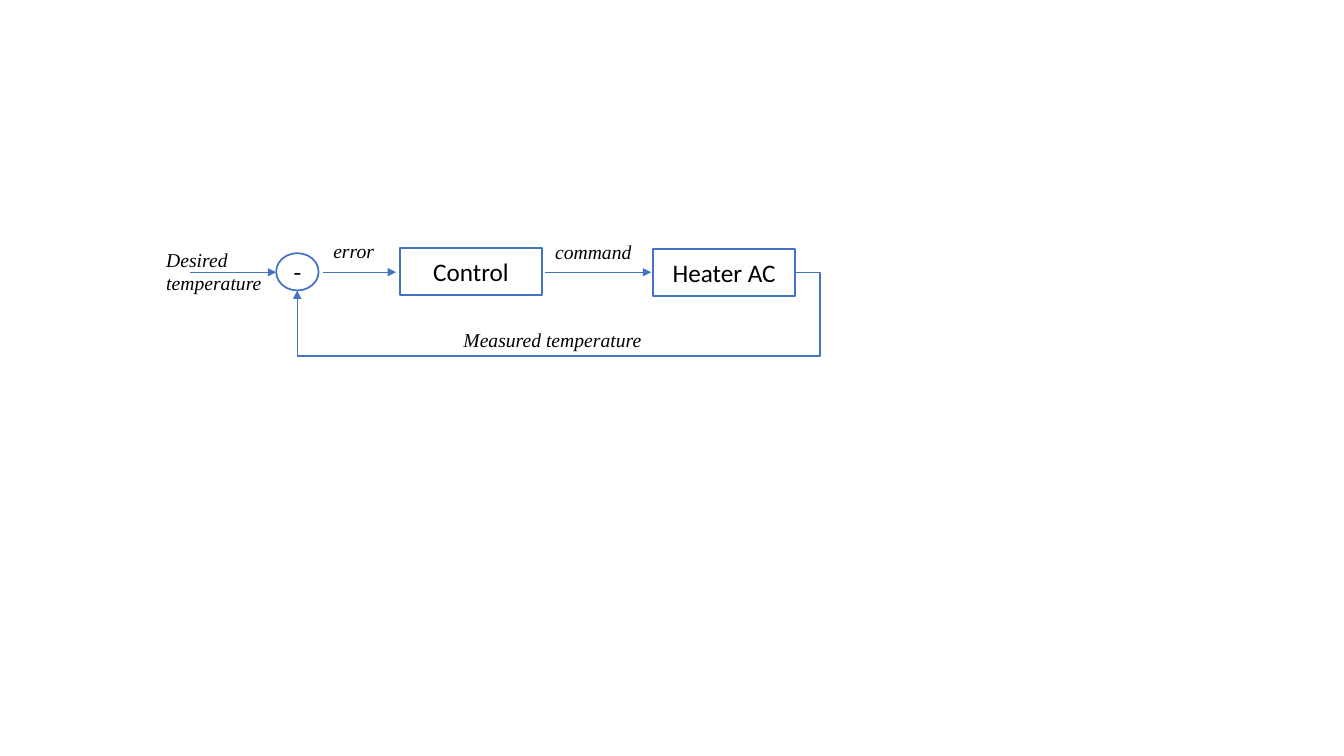
import lxml.etree
import pptx
import pptx.dml.color
import pptx.enum.shapes
import pptx.enum.text
import pptx.oxml.ns
import pptx.util

Cm = pptx.util.Cm
Pt = pptx.util.Pt
SHAPE = pptx.enum.shapes.MSO_SHAPE
CONNECTOR = pptx.enum.shapes.MSO_CONNECTOR
ALIGN = pptx.enum.text.PP_ALIGN
qn = pptx.oxml.ns.qn

COLORS = {"signal": "4472C4", "block": "FFFFFF", "text": "000000"}
SIGNAL_Y = 6.86
FEEDBACK_Y = 8.97
JUNCTION_X = 7.49
HEATER_RIGHT = 20.04


def rgb(role):
    return pptx.dml.color.RGBColor.from_string(COLORS[role])


def write(frame, text, size=18, font="Calibri", italic=False, align=ALIGN.LEFT):
    paragraph = frame.paragraphs[0]
    paragraph.alignment = align
    run = paragraph.add_run()
    run.text = text
    run.font.size = Pt(size)
    run.font.name = font
    run.font.italic = italic
    run.font.color.rgb = rgb("text")


def add_block(slide, text, left, top, width=3.58, height=1.19, outline=SHAPE.RECTANGLE):
    block = slide.shapes.add_shape(outline, Cm(left), Cm(top), Cm(width), Cm(height))
    block.shadow.inherit = False
    block.fill.solid()
    block.fill.fore_color.rgb = rgb("block")
    block.line.color.rgb = rgb("signal")
    block.line.width = Pt(1.25)
    block.text_frame.vertical_anchor = pptx.enum.text.MSO_ANCHOR.MIDDLE
    write(block.text_frame, text, align=ALIGN.CENTER)


def add_signal(slide, start, end, route=CONNECTOR.STRAIGHT, arrow=True):
    signal = slide.shapes.add_connector(route, *map(Cm, start + end))
    signal.line.color.rgb = rgb("signal")
    signal.line.width = Pt(1)
    properties = signal.element.spPr
    if arrow:
        outline = properties.find(qn("a:ln"))
        lxml.etree.SubElement(outline, qn("a:tailEnd"), type="triangle")
    lxml.etree.SubElement(properties, qn("a:effectLst"))
    return signal


def add_feedback(slide, start, end, bend):
    feedback = add_signal(slide, start, end, CONNECTOR.ELBOW, arrow=False)
    geometry = feedback.element.spPr.find(qn("a:prstGeom"))
    guides = geometry.find(qn("a:avLst"))
    if guides is None:
        guides = lxml.etree.SubElement(geometry, qn("a:avLst"))
    formula = f"val {round(bend * 100000)}"
    lxml.etree.SubElement(guides, qn("a:gd"), name="adj1", fmla=formula)


def add_label(slide, text, left, top, width, height=0.86, wrap=False):
    label = slide.shapes.add_textbox(Cm(left), Cm(top), Cm(width), Cm(height))
    label.text_frame.word_wrap = wrap
    label.text_frame.auto_size = pptx.enum.text.MSO_AUTO_SIZE.SHAPE_TO_FIT_TEXT
    write(label.text_frame, text, size=14, font="Times New Roman", italic=True)


def main():
    deck = pptx.Presentation()
    deck.slide_width, deck.slide_height = Cm(33.87), Cm(19.05)
    slide = deck.slides.add_slide(deck.slide_layouts[6])

    add_block(slide, "Control", 10.08, 6.25)
    add_block(slide, "Heater AC", 16.46, 6.27)
    add_block(slide, "-", 6.96, 6.38, 1.07, 0.94, SHAPE.OVAL)

    for start_x, end_x in [(4.78, 6.96), (8.13, 9.98), (13.74, 16.41)]:
        add_signal(slide, (start_x, SIGNAL_Y), (end_x, SIGNAL_Y))
    add_signal(slide, (JUNCTION_X, FEEDBACK_Y), (JUNCTION_X, 7.32))
    add_feedback(slide, (HEATER_RIGHT, SIGNAL_Y), (JUNCTION_X, FEEDBACK_Y), -0.05)

    add_label(slide, "Desired temperature", 3.94, 6.12, 3.15, 1.45, wrap=True)
    add_label(slide, "error", 8.15, 5.89, 1.55)
    add_label(slide, "command", 13.74, 5.92, 2.46)
    add_label(slide, "Measured temperature", 11.43, 8.13, 5.05)

    deck.save("out.pptx")


main()
